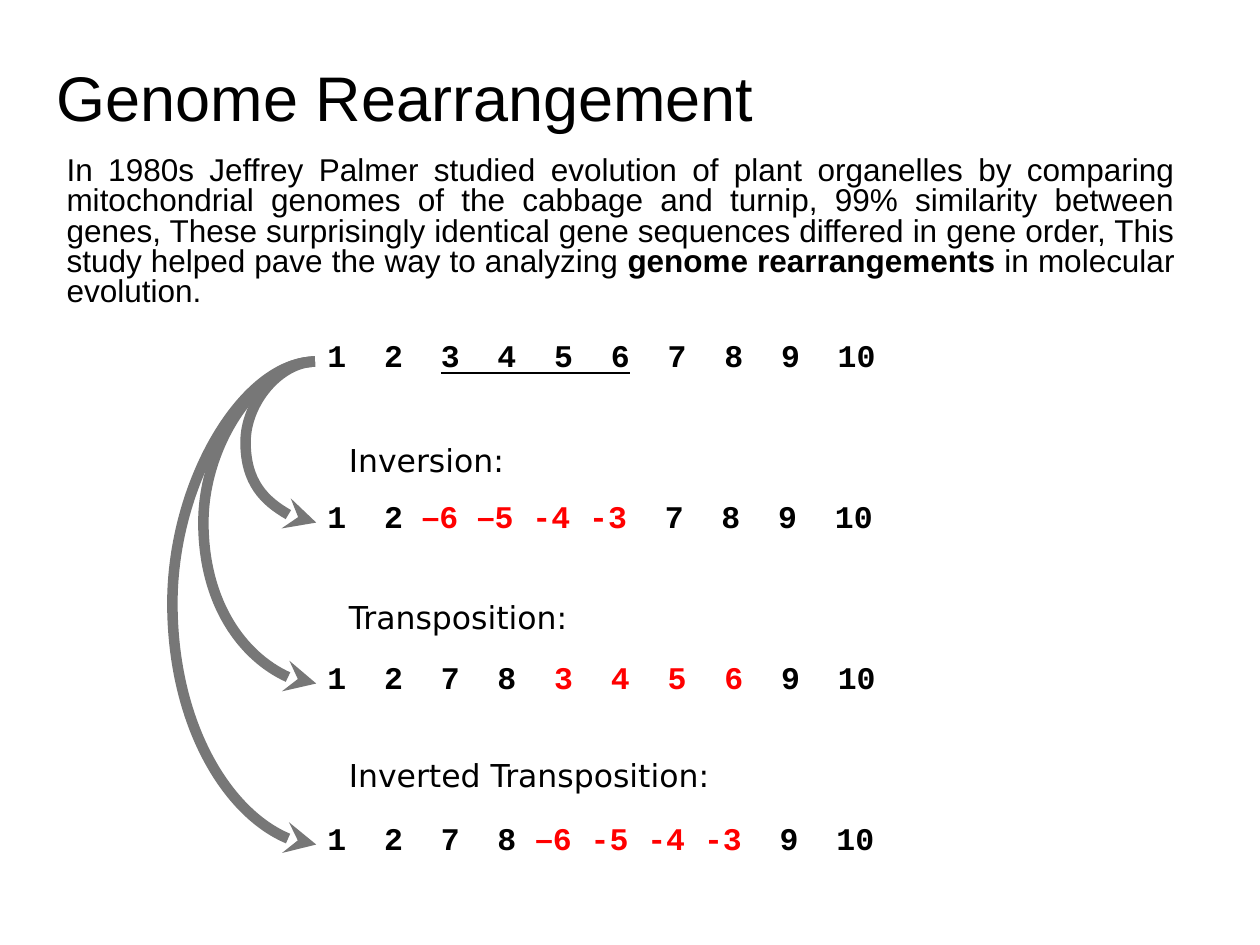
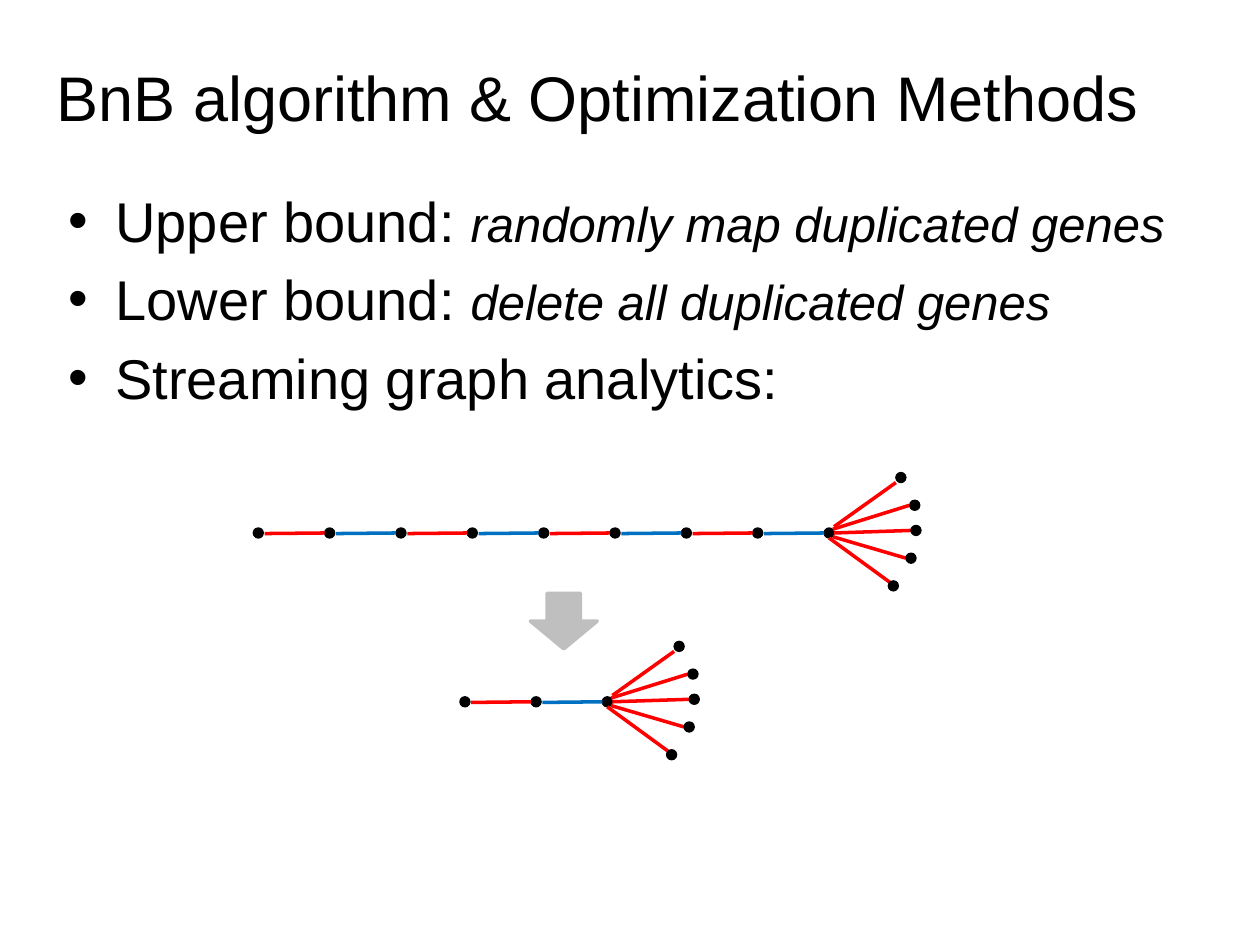
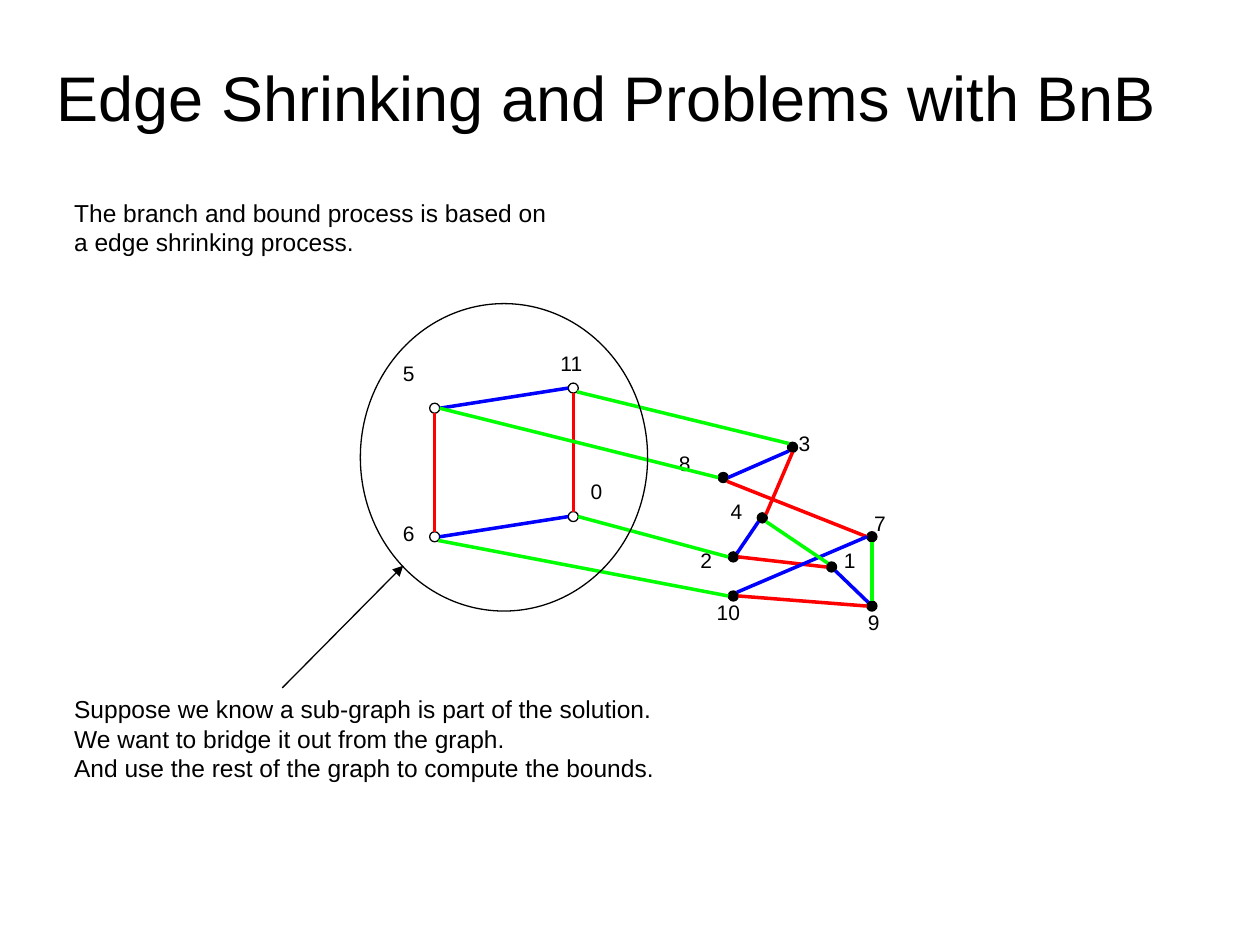
from collections import namedtuple

from lxml.etree import SubElement
from pptx import Presentation
from pptx.dml.color import RGBColor
from pptx.enum.shapes import MSO_CONNECTOR, MSO_SHAPE
from pptx.enum.text import MSO_ANCHOR, MSO_AUTO_SIZE, PP_ALIGN
from pptx.oxml.ns import qn
from pptx.util import Inches, Pt

BLACK = RGBColor(0x00, 0x00, 0x00)
WHITE = RGBColor(0xFF, 0xFF, 0xFF)
RED = RGBColor(0xFF, 0x00, 0x00)
GREEN = RGBColor(0x00, 0xFF, 0x00)
BLUE = RGBColor(0x00, 0x00, 0xFF)
CHAIN_BLUE = RGBColor(0x00, 0x70, 0xC0)
ARROW_GREY = RGBColor(0x77, 0x77, 0x77)
BLOCK_GREY = RGBColor(0xBF, 0xBF, 0xBF)

COLUMNS, ROWS = 100, 75
SLIDE_WIDTH, SLIDE_HEIGHT = Inches(10), Inches(7.5)
NODE_SIZE = 0.8
EDGE_WIDTH, OUTLINE_WIDTH = 2, 0.75

Box = namedtuple("Box", "left top width height")
TITLE_BOX = Box(3.5, 3.5, 90, 8.3)

TITLE = {"name": "Arial", "size": Pt(36)}
BULLET = {"name": "Arial", "size": Pt(32)}
BULLET_DETAIL = {"name": "Arial", "size": Pt(28), "italic": True}
INTRO = {"name": "Arial", "size": Pt(18)}
INTRO_BOLD = {**INTRO, "bold": True}
OPERATION = {"name": "DejaVu Sans", "size": Pt(18)}
NOTE = {"name": "Arial", "size": Pt(14)}
NODE_LABEL = {"name": "Arial", "size": Pt(12)}
GENE = {"name": "Courier New", "size": Pt(18), "bold": True}
GENE_UNDERLINED = {**GENE, "underline": True}
GENE_MOVED = {**GENE, "color": RED}
GENE_DASH = {**GENE_MOVED, "name": "Arial"}

COMPASS = {
    "N": (0, -0.4), "S": (0, 0.4), "E": (0.4, 0), "W": (-0.4, 0),
    "NE": (0.3, -0.3), "SE": (0.3, 0.3), "NW": (-0.3, -0.3), "SW": (-0.3, 0.3),
}


def across(columns):
    """Turn grid columns into a length."""
    return round(SLIDE_WIDTH * columns / COLUMNS)


def down(rows):
    """Turn grid rows into a length."""
    return round(SLIDE_HEIGHT * rows / ROWS)


def place(box):
    """Turn a grid box into left, top, width and height."""
    return across(box.left), down(box.top), across(box.width), down(box.height)


def move(shape, box):
    """Give a shape the position and size of a box."""
    shape.left, shape.top, shape.width, shape.height = place(box)


def write(text_frame, paragraphs, **paragraph_format):
    """Fill a text frame with paragraphs made of (text, format) runs."""
    for index, runs in enumerate(paragraphs):
        paragraph = text_frame.paragraphs[0] if index == 0 else text_frame.add_paragraph()
        for attribute, value in paragraph_format.items():
            setattr(paragraph, attribute, value)
        for text, run_format in runs:
            run = paragraph.add_run()
            run.text = text
            run.font.color.rgb = run_format.get("color", BLACK)
            for attribute, value in run_format.items():
                if attribute != "color":
                    setattr(run.font, attribute, value)


def add_text(slide, box, paragraphs, wrap=True, **paragraph_format):
    """Add a text box that grows with its text."""
    shape = slide.shapes.add_textbox(*place(box))
    shape.text_frame.word_wrap = wrap
    shape.text_frame.auto_size = MSO_AUTO_SIZE.SHAPE_TO_FIT_TEXT
    write(shape.text_frame, paragraphs, **paragraph_format)


def add_plain_shape(slide, kind, box, fill=None, line=None, width=OUTLINE_WIDTH):
    """Add a preset shape without shadow."""
    shape = slide.shapes.add_shape(kind, *place(box))
    shape.shadow.inherit = False
    for part, color in ((shape.fill, fill), (shape.line.fill, line)):
        if color is None:
            part.background()
        else:
            part.solid()
            part.fore_color.rgb = color
    if line is not None:
        shape.line.width = Pt(width)
    return shape


def add_line(slide, start, end, color, width=EDGE_WIDTH, head=None, kind=MSO_CONNECTOR.STRAIGHT):
    """Add a connector between two grid points, with an optional arrowhead."""
    connector = slide.shapes.add_connector(
        kind, across(start[0]), down(start[1]), across(end[0]), down(end[1]))
    connector.line.color.rgb = color
    connector.line.width = Pt(width)
    properties = connector._element.spPr
    if head:
        SubElement(properties.find(qn("a:ln")), qn("a:tailEnd"), type=head)
    SubElement(properties, qn("a:effectLst"))
    return connector


def add_node(slide, center, fill=BLACK):
    """Add a graph node around its centre."""
    box = Box(center[0] - NODE_SIZE / 2, center[1] - NODE_SIZE / 2, NODE_SIZE, NODE_SIZE)
    add_plain_shape(slide, MSO_SHAPE.OVAL, box, fill, BLACK)


def shift(point, offset):
    """Move a grid point by an offset."""
    return point[0] + offset[0], point[1] + offset[1]


def add_titled_slide(presentation, layout_index, title):
    """Add a slide and set its title."""
    slide = presentation.slides.add_slide(presentation.slide_layouts[layout_index])
    shape = slide.shapes.title
    move(shape, TITLE_BOX)
    shape.text_frame.auto_size = MSO_AUTO_SIZE.NONE
    shape.text_frame.vertical_anchor = MSO_ANCHOR.MIDDLE
    write(shape.text_frame, [[(title, TITLE)]], alignment=PP_ALIGN.LEFT)
    return slide


def add_curved_arrow(slide, start, drop, bow):
    """Add an arrow that bows to the left and ends below its start."""
    thickness = 0.1
    end = (start[0] + thickness, start[1] + drop)
    connector = add_line(slide, start, end, ARROW_GREY, 6, "stealth", MSO_CONNECTOR.CURVE)
    guides = connector._element.spPr.find(qn("a:prstGeom")).get_or_add_avLst()
    SubElement(guides, qn("a:gd"), name="adj1", fmla=f"val {round(-bow / thickness * 100000)}")


def add_operation_label(slide, box, text):
    """Add the name of an operation on a half transparent white ground."""
    shape = add_plain_shape(slide, MSO_SHAPE.RECTANGLE, box, WHITE)
    color = shape._element.spPr.find(qn("a:solidFill")).find(qn("a:srgbClr"))
    SubElement(color, qn("a:alpha"), val="50000")
    shape.text_frame.word_wrap = False
    shape.text_frame.vertical_anchor = MSO_ANCHOR.TOP
    write(shape.text_frame, [[(text, OPERATION)]], alignment=PP_ALIGN.LEFT)


def add_rearrangements(slide, box):
    """Add the gene order, its three rearrangements and their arrows."""
    sequences = [
        [("1  2  ", GENE), ("3  4  5  6", GENE_UNDERLINED), ("  7  8  9  10", GENE)],
        [("1  2 ", GENE), ("–", GENE_DASH), ("6 ", GENE_MOVED), ("–", GENE_DASH),
         ("5 -4 -3", GENE_MOVED), ("  7  8  9  10", GENE)],
        [("1  2  7  8  ", GENE), ("3  4  5  6  ", GENE_MOVED), ("9  10", GENE)],
        [("1  2  7  8 ", GENE), ("–", GENE_DASH), ("6 -5 -4 -3", GENE_MOVED),
         ("  9  10", GENE)],
    ]
    operations = [("Inversion:", 19.2, 5.6), ("Transposition:", 26, 9),
                  ("Inverted Transposition:", 41.5, 11.5)]
    pitch, row_height = box.height / len(sequences), 5
    for index, runs in enumerate(sequences):
        add_text(slide, Box(box.left, box.top + index * pitch, box.width, row_height), [runs])
    for index, (name, width, bow) in enumerate(operations):
        add_curved_arrow(slide, (box.left, box.top + row_height / 2), (index + 1) * pitch, bow)
        label_top = box.top + 8.3 + index * 12.5
        add_operation_label(slide, Box(box.left + 1.7, label_top, width, row_height), name)


def build_rearrangement_slide(presentation):
    """Build the slide on genome rearrangement."""
    slide = add_titled_slide(presentation, 5, "Genome Rearrangement")
    add_text(slide, Box(4.3, 12, 89.9, 13), [[
        ("In 1980s Jeffrey Palmer studied evolution of plant organelles by comparing "
         "mitochondrial genomes of the cabbage and turnip, 99% similarity between genes, "
         "These surprisingly identical gene sequences differed in gene order, This study "
         "helped pave the way to analyzing ", INTRO),
        ("genome rearrangements", INTRO_BOLD),
        (" in molecular evolution.", INTRO),
    ]], alignment=PP_ALIGN.JUSTIFY, line_spacing=0.8)
    add_rearrangements(slide, Box(25, 26.2, 60, 51.1))


def add_chain(slide, box, edge_count):
    """Add a chain of alternating edges that ends in a fan of five nodes."""
    fan = [
        ((0.4, -0.5), (5.3, -4), (5.7, -4.4)),
        ((0.3, -0.3), (6.4, -2.2), (6.8, -2.2)),
        ((0.4, 0), (6.5, -0.2), (6.9, -0.2)),
        ((0.3, 0.3), (6.1, 2), (6.5, 2)),
        ((0, 0.4), (4.8, 3.9), (5.1, 4.2)),
    ]
    step = box.width / edge_count
    stops = [(box.left + index * step, box.top + box.height / 2)
             for index in range(edge_count + 1)]
    for stop in stops:
        add_node(slide, stop)
    for index, (start, end) in enumerate(zip(stops, stops[1:])):
        color = CHAIN_BLUE if index % 2 else RED
        add_line(slide, shift(start, (0.5, 0.05)), shift(end, COMPASS["W"]), color)
    for start, end, tip in fan:
        add_line(slide, shift(stops[-1], start), shift(stops[-1], end), RED)
        add_node(slide, shift(stops[-1], tip))


def build_optimization_slide(presentation):
    """Build the slide on bounds and graph streaming."""
    slide = add_titled_slide(presentation, 1, "BnB algorithm & Optimization Methods")
    body = slide.placeholders[1]
    move(body, Box(4.4, 14.3, 91.3, 54.8))
    body.text_frame.auto_size = MSO_AUTO_SIZE.NONE
    write(body.text_frame, [
        [("Upper bound: ", BULLET), ("randomly map duplicated genes", BULLET_DETAIL)],
        [("Lower bound: ", BULLET), ("delete all duplicated genes", BULLET_DETAIL)],
        [("Streaming graph analytics:", BULLET)],
    ])
    add_chain(slide, Box(20.5, 37.9, 45.3, 8.8), 8)
    add_chain(slide, Box(36.9, 51.3, 11.3, 8.8), 2)
    add_plain_shape(slide, MSO_SHAPE.DOWN_ARROW, Box(42.1, 47.1, 5.3, 4.4),
                    BLOCK_GREY, BLOCK_GREY, EDGE_WIDTH)


def add_shrinking_graph(slide, box):
    """Add the graph whose known sub-graph is circled."""
    nodes = {
        "5": ((5.9, 8.3), (-2, -2.8)), "11": ((16.9, 6.7), (0, -2)),
        "0": ((16.9, 16.9), (1.9, -2)), "6": ((5.9, 18.5), (-2, -0.3)),
        "3": ((34.3, 11.4), (1, -0.3)), "8": ((28.8, 13.8), (-3, -1.1)),
        "4": ((31.9, 17), (-2, -0.5)), "2": ((29.6, 20.1), (-2.1, 0.3)),
        "10": ((29.6, 23.2), (-0.3, 1.3)), "9": ((40.6, 24), (0.2, 1.3)),
        "1": ((37.4, 20.9), (1.5, -0.5)), "7": ((40.6, 18.5), (0.7, -1.1)),
    }
    edges = {
        RED: ["5 S 6 N", "11 S 0 N", "3 S 4 NE", "8 SE 7 W", "2 E 1 W", "10 E 9 W"],
        BLUE: ["6 E 0 W", "8 E 3 SW", "4 SW 2 NE", "1 SE 9 NW", "7 W 10 NE", "5 E 11 W"],
        GREEN: ["11 SE 3 NW", "4 SE 1 NW", "0 E 2 W", "6 SE 10 W", "7 S 9 N", "5 E 8 W"],
    }
    known = {"5", "11", "0", "6"}
    centers = {name: shift(box[:2], offset) for name, (offset, _) in nodes.items()}
    for name, center in centers.items():
        add_node(slide, center, None if name in known else BLACK)
        width, height = 2 + len(name), 3
        left, top = shift(shift(center, nodes[name][1]), (-width / 2, -height / 2))
        add_text(slide, Box(left, top, width, height), [[(name, NODE_LABEL)]], wrap=False)
    for color, routes in edges.items():
        for route in routes:
            start, start_side, end, end_side = route.split()
            add_line(slide, shift(centers[start], COMPASS[start_side]),
                     shift(centers[end], COMPASS[end_side]), color)
    add_plain_shape(slide, MSO_SHAPE.OVAL, box, line=BLACK)


def build_shrinking_slide(presentation):
    """Build the slide on edge shrinking."""
    slide = add_titled_slide(presentation, 5, "Edge Shrinking and Problems with BnB")
    add_shrinking_graph(slide, Box(28.6, 24.1, 22.8, 24.4))
    add_text(slide, Box(4.9, 15.2, 40.2, 5.7), [[
        ("The branch and bound process is based on a edge shrinking process.", NOTE)]])
    add_text(slide, Box(4.9, 54.6, 49.3, 8.1), [
        [("Suppose we know a sub-graph is part of the solution.", NOTE)],
        [("We want to bridge it out from the graph.", NOTE)],
        [("And use the rest of the graph to compute the bounds.", NOTE)],
    ], wrap=False)
    add_line(slide, (22.4, 54.6), (32, 44.9), BLACK, OUTLINE_WIDTH, "triangle")


def main():
    """Build and save the presentation."""
    presentation = Presentation()
    presentation.slide_width, presentation.slide_height = SLIDE_WIDTH, SLIDE_HEIGHT
    build_rearrangement_slide(presentation)
    build_optimization_slide(presentation)
    build_shrinking_slide(presentation)
    presentation.save("out.pptx")


if __name__ == "__main__":
    main()
